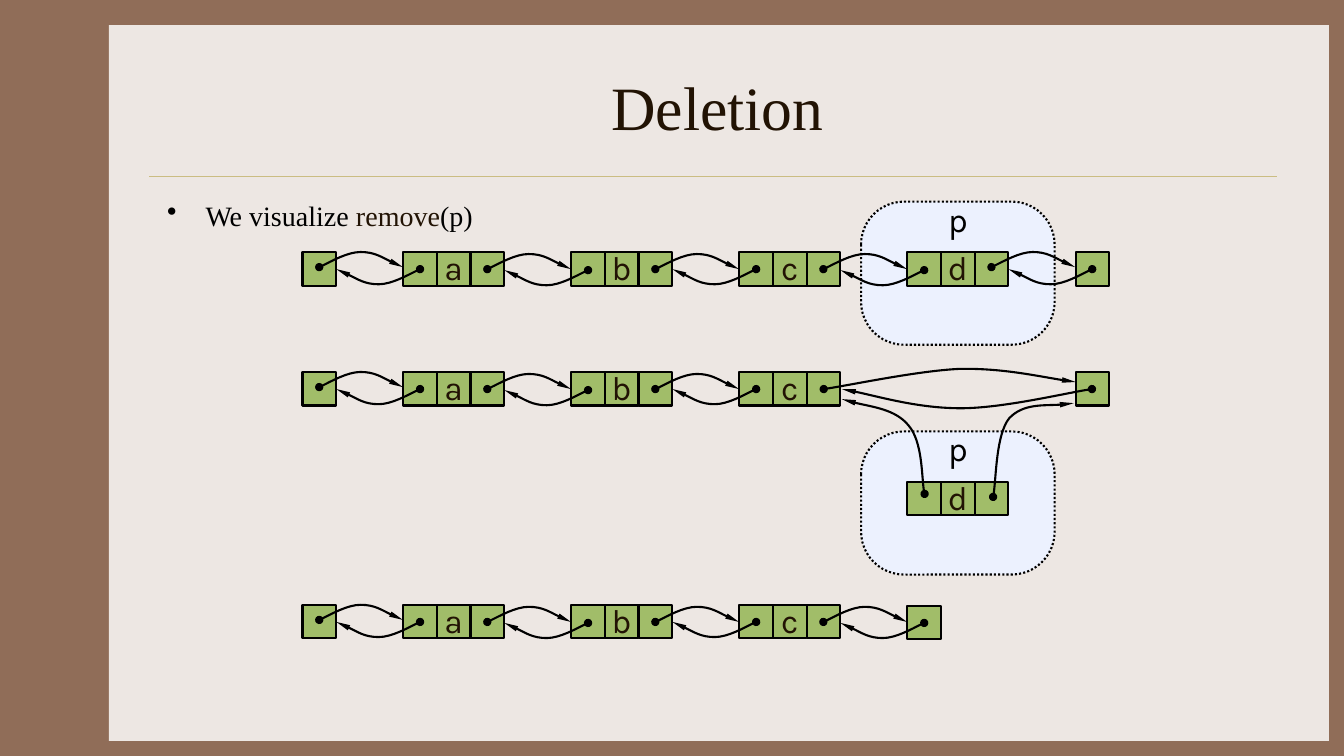
from lxml import etree
from pptx import Presentation
from pptx.dml.color import RGBColor
from pptx.enum.dml import MSO_LINE
from pptx.enum.shapes import MSO_CONNECTOR, MSO_SHAPE
from pptx.enum.text import MSO_ANCHOR, PP_ALIGN
from pptx.oxml.ns import qn
from pptx.util import Inches, Pt

RECTANGLE, ROUNDED = MSO_SHAPE.RECTANGLE, MSO_SHAPE.ROUNDED_RECTANGLE
STRAIGHT, DOTTED = MSO_CONNECTOR.STRAIGHT, MSO_LINE.ROUND_DOT
CENTER, LEFT = PP_ALIGN.CENTER, PP_ALIGN.LEFT
TOP, MIDDLE = MSO_ANCHOR.TOP, MSO_ANCHOR.MIDDLE

BROWN, PAPER, GOLD = "906D58", "EDE7E3", "CBBD83"
INK, BLACK, GREEN, PALE = "221304", "000000", "A1BD69", "ECF1FE"
SERIF, SANS = "Times New Roman", "Karla"

TITLE = [("Deletion", INK)]
BULLET = [("We visualize ", BLACK), ("remove", INK), ("(p)", BLACK)]

CELL = 1 / 3
NODE_STEP = 5 * CELL
HEADER_LEFT = 3
FIRST_NODE_LEFT = 4

CHAINS = [
    {"top": 2.5, "letters": "abcd", "links": 5, "trailer": (10.67, 2.5)},
    {"top": 3.69, "letters": "abc", "links": 3, "trailer": (10.67, 3.69)},
    {"top": 6, "letters": "abc", "links": 4, "trailer": (9, 6.01)},
]
REMOVED_NODE = ("d", 9, 4.78)
PANELS = [(8.54, 2), (8.54, 4.28)]

NEXT_OFFSETS = [0.15, 0.17, 0.17, 0.17, 0.15]
PREVIOUS_OFFSETS = [0.17, 0.18, 0.17, 0.18, 0.17]
LINK_CURVE = [(0, 0), (0.07, -0.03), (0.28, -0.15), (0.41, -0.15),
              (0.55, -0.15), (0.75, -0.03), (0.83, 0)]
BYPASS_CURVES = [
    [(8.17, 3.86), (8.39, 3.83), (9.1, 3.68), (9.51, 3.66),
     (9.93, 3.65), (10.43, 3.76), (10.67, 3.79)],
    [(10.83, 3.86), (10.61, 3.89), (9.94, 4.05), (9.53, 4.05),
     (9.11, 4.05), (8.59, 3.9), (8.35, 3.86)],
    [(9.17, 4.9), (9.14, 4.79), (9.15, 4.38), (9.01, 4.22),
     (8.88, 4.06), (8.49, 4.01), (8.35, 3.96)],
    [(9.85, 4.93), (9.88, 4.8), (9.88, 4.31), (10.01, 4.15),
     (10.15, 4), (10.52, 4.03), (10.65, 4)],
]


def color(value):
    return RGBColor.from_string(value)


def add_box(slide, kind, left, top, width, height, fill, outlined=True):
    shape = slide.shapes.add_shape(
        kind, Inches(left), Inches(top), Inches(width), Inches(height))
    shape.shadow.inherit = False
    shape.fill.solid()
    shape.fill.fore_color.rgb = color(fill)
    if outlined:
        shape.line.color.rgb = color(BLACK)
        shape.line.width = Pt(1.5)
    else:
        shape.line.fill.background()
    return shape


def add_text(slide, runs, left, top, width, height, size, font,
             align=CENTER, anchor=TOP, wrap=True):
    box = slide.shapes.add_textbox(
        Inches(left), Inches(top), Inches(width), Inches(height))
    box.text_frame.word_wrap = wrap
    box.text_frame.vertical_anchor = anchor
    paragraph = box.text_frame.paragraphs[0]
    paragraph.alignment = align
    for text, shade in runs:
        run = paragraph.add_run()
        run.text = text
        run.font.size = Pt(size)
        run.font.name = font
        run.font.color.rgb = color(shade)
    return paragraph


def add_bullet(paragraph, indent):
    properties = paragraph._p.get_or_add_pPr()
    properties.set("marL", str(Inches(indent)))
    properties.set("indent", str(-Inches(indent)))
    etree.SubElement(properties, qn("a:buChar")).set("char", "•")


def add_letter(slide, letter, center, top, shade=INK):
    add_text(slide, [(letter, shade)], center - 0.2, top, 0.4, 0.5, 24, SANS, wrap=False)


def add_cell(slide, left, top):
    add_box(slide, RECTANGLE, left, top, CELL, CELL, GREEN)


def add_node(slide, letter, left, top):
    for index in range(3):
        add_cell(slide, left + index * CELL, top)
    add_letter(slide, letter, left + 1.5 * CELL, top - 0.1)


def add_pointer(slide, points):
    points = [(Inches(x), Inches(y)) for x, y in points]
    builder = slide.shapes.build_freeform(*points[0])
    builder.add_line_segments(points[1:], close=False)
    shape = builder.convert_to_shape()
    shape.shadow.inherit = False
    shape.fill.background()
    shape.line.color.rgb = color(BLACK)
    shape.line.width = Pt(1.5)
    outline = next(shape._element.iter(qn("a:path")))
    segments = outline.findall(qn("a:lnTo"))
    for start in range(0, len(segments), 3):
        curve = etree.SubElement(outline, qn("a:cubicBezTo"))
        for segment in segments[start:start + 3]:
            curve.append(segment[0])
            outline.remove(segment)
    line = shape.line._get_or_add_ln()
    for tag, kind, width, length in (("a:headEnd", "oval", "med", "med"),
                                     ("a:tailEnd", "triangle", "sm", "lg")):
        end = etree.SubElement(line, qn(tag))
        end.set("type", kind)
        end.set("w", width)
        end.set("len", length)


def add_chain(slide, top, letters, links, trailer):
    add_cell(slide, HEADER_LEFT, top)
    add_cell(slide, *trailer)
    for index, letter in enumerate(letters):
        add_node(slide, letter, FIRST_NODE_LEFT + index * NODE_STEP, top)
    for index in range(links):
        next_x = HEADER_LEFT + CELL / 2 + index * NODE_STEP
        next_y = top + NEXT_OFFSETS[index]
        previous_x = next_x + 3 * CELL
        previous_y = top + PREVIOUS_OFFSETS[index]
        add_pointer(slide, [(next_x + x, next_y + y) for x, y in LINK_CURVE])
        add_pointer(slide, [(previous_x - x, previous_y - y) for x, y in LINK_CURVE])


def main():
    presentation = Presentation()
    presentation.slide_width = Inches(13.33)
    presentation.slide_height = Inches(7.5)
    slide = presentation.slides.add_slide(presentation.slide_layouts[6])
    slide.background.fill.solid()
    slide.background.fill.fore_color.rgb = color(BROWN)

    add_box(slide, RECTANGLE, 1.08, 0.25, 12.1, 7.1, PAPER, outlined=False)
    rule = slide.shapes.add_connector(
        STRAIGHT, Inches(1.48), Inches(1.75), Inches(12.67), Inches(1.75))
    rule.line.color.rgb = color(GOLD)
    rule.line.width = Pt(0.25)
    etree.SubElement(rule._element.spPr, qn("a:effectLst"))

    add_text(slide, TITLE, 1.56, 0.42, 11.11, 1.25, 44, SERIF, anchor=MIDDLE)
    bullet = add_text(slide, BULLET, 1.56, 1.92, 11.11, 4.5, 20, SERIF, align=LEFT)
    bullet.space_before = Pt(4)
    add_bullet(bullet, 0.38)

    for left, top in PANELS:
        panel = add_box(slide, ROUNDED, left, top, 1.92, 1.42, PALE)
        panel.adjustments[0] = 0.3
        panel.line.dash_style = DOTTED
        add_letter(slide, "p", left + 0.96, top - 0.08, BLACK)
    for chain in CHAINS:
        add_chain(slide, **chain)
    add_node(slide, *REMOVED_NODE)
    for points in BYPASS_CURVES:
        add_pointer(slide, points)

    presentation.save("out.pptx")


if __name__ == "__main__":
    main()
